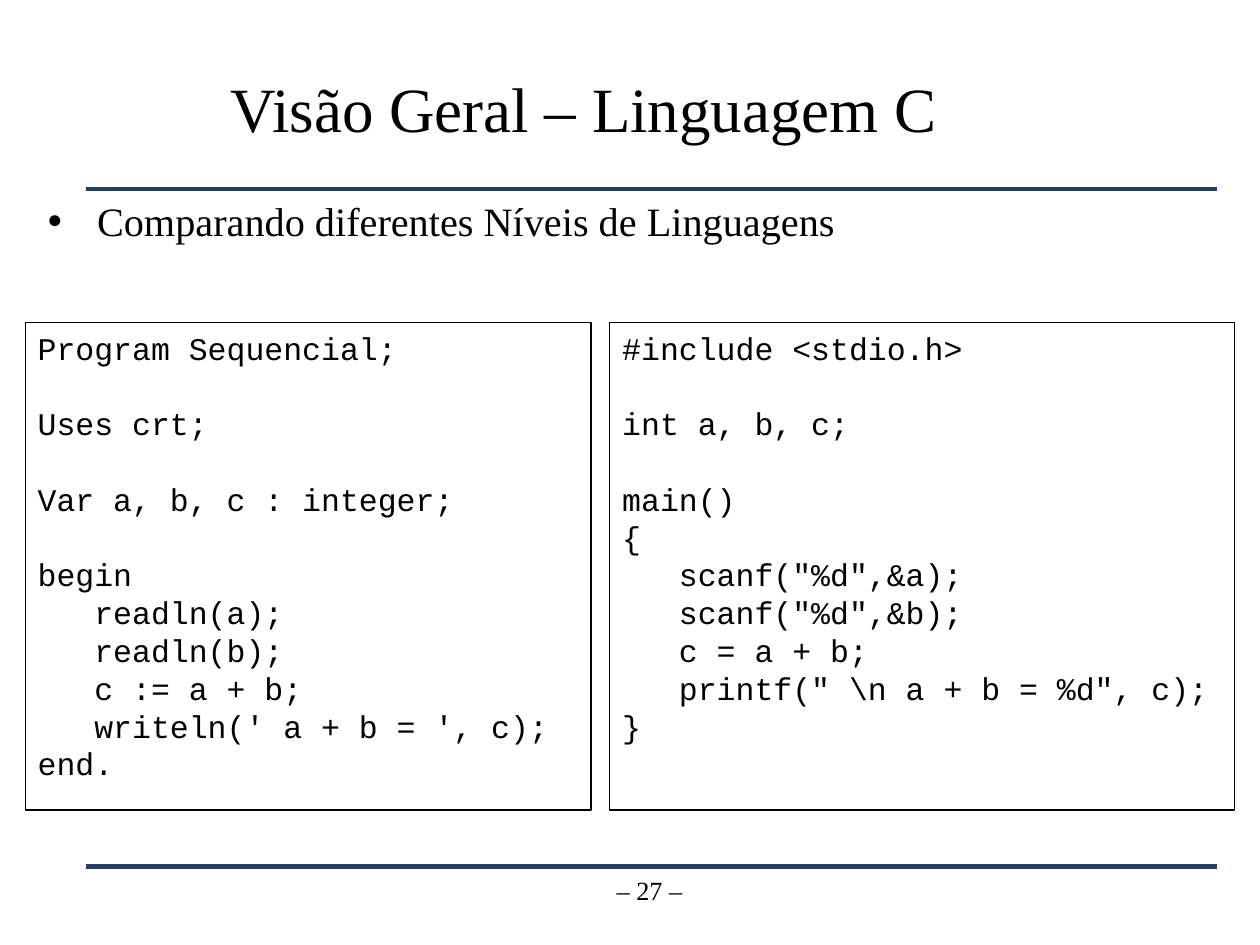
from pptx import Presentation
from pptx.util import Inches, Pt
from pptx.dml.color import RGBColor
from pptx.enum.shapes import MSO_CONNECTOR as Link, MSO_SHAPE as Shape
from pptx.enum.text import MSO_ANCHOR as Anchor, MSO_AUTO_SIZE as Fit, PP_ALIGN as Align
from lxml import etree

NS = "{http://schemas.openxmlformats.org/drawingml/2006/main}"
SERIF, MONO = "Times New Roman", "Courier New"
BLACK, WHITE, NAVY = "000000", "FFFFFF", "263E60"
PITCH = 21.6
STEP = 0.45

PASCAL = """Program Sequencial;

Uses crt;

Var a, b, c : integer;

begin
>readln(a);
>readln(b);
>c := a + b;
>writeln(' a + b = ', c);
end."""

C_CODE = r"""#include <stdio.h>

int a, b, c;

main()
{
>scanf("%d",&a);
>scanf("%d",&b);
>c = a + b;
>printf(" \n a + b = %d", c);
}"""


def color(code):
    """Turn a hex string into a colour."""
    return RGBColor.from_string(code)


def style(par, face, size, align=Align.LEFT):
    """Set the font and alignment of a paragraph."""
    par.font.name, par.font.size = face, Pt(size)
    par.font.color.rgb = color(BLACK)
    par.alignment = align


def indent(par, left, first=0):
    """Set the left and first-line indents in inches."""
    props = par._p.get_or_add_pPr()
    props.set("marL", str(Inches(left)))
    props.set("indent", str(Inches(first)))


def place(shape, box):
    """Move a shape to a box in inches."""
    shape.left, shape.top, shape.width, shape.height = map(Inches, box)


def write(shape, text, size, anchor=Anchor.TOP, align=Align.LEFT):
    """Fill a shape with one serif paragraph and return it."""
    frame = shape.text_frame
    frame.text = text
    frame.word_wrap, frame.auto_size = True, Fit.NONE
    frame.vertical_anchor = anchor
    par = frame.paragraphs[0]
    style(par, SERIF, size, align)
    return par


def rule(slide, left, top, width):
    """Draw a navy rule across the slide."""
    line = slide.shapes.add_connector(
        Link.STRAIGHT, Inches(left), Inches(top), Inches(left + width), Inches(top))
    line.line.color.rgb, line.line.width = color(NAVY), Pt(2.83)
    etree.SubElement(line._element.spPr, NS + "effectLst")


def header(slide, box):
    """Place the title and the bullet in a box."""
    left, top, width, height = box
    title, body = slide.placeholders
    place(title, (left + 1.45, top, width - 1.53, 1.07))
    write(title, "Visão Geral – Linguagem C", 36, Anchor.MIDDLE)
    place(body, (left, top + 1.19, width, height - 1.19))
    par = write(body, "Comparando diferentes Níveis de Linguagens", 23)
    indent(par, 0.39, -0.39)


def footer(slide, box):
    """Place the page number in a box."""
    note = slide.shapes.add_textbox(*map(Inches, box))
    write(note, "– 27 –", 15, align=Align.CENTER)


def panel(slide, box, code):
    """Draw a framed listing, with gaps for its blank lines."""
    rect = slide.shapes.add_shape(Shape.RECTANGLE, *map(Inches, box))
    rect.shadow.inherit = False
    rect.fill.solid()
    rect.fill.fore_color.rgb = color(WHITE)
    rect.line.color.rgb, rect.line.width = color(BLACK), Pt(0.75)
    frame = rect.text_frame
    frame.word_wrap, frame.vertical_anchor = True, Anchor.TOP
    gap = 0
    par = None
    for line in code.split("\n"):
        if not line:
            gap += PITCH
            continue
        par = frame.add_paragraph() if par else frame.paragraphs[0]
        par.text = line.lstrip(">")
        style(par, MONO, 18)
        par.line_spacing, par.space_before = Pt(PITCH), Pt(gap)
        indent(par, STEP * line.count(">", 0, 1))
        gap = 0


def build():
    """Build the slide and save it."""
    deck = Presentation()
    deck.slide_width, deck.slide_height = Inches(10), Inches(7.5)
    slide = deck.slides.add_slide(deck.slide_layouts[1])
    for top in (1.5, 6.88):
        rule(slide, 0.68, top, 8.98)
    header(slide, (0.28, 0.32, 9.72, 2.12))
    for left, width, code in ((0.2, 4.49, PASCAL), (4.84, 4.96, C_CODE)):
        panel(slide, (left, 2.56, width, 3.87), code)
    footer(slide, (3.99, 6.89, 2.33, 0.52))
    deck.save("out.pptx")


build()
